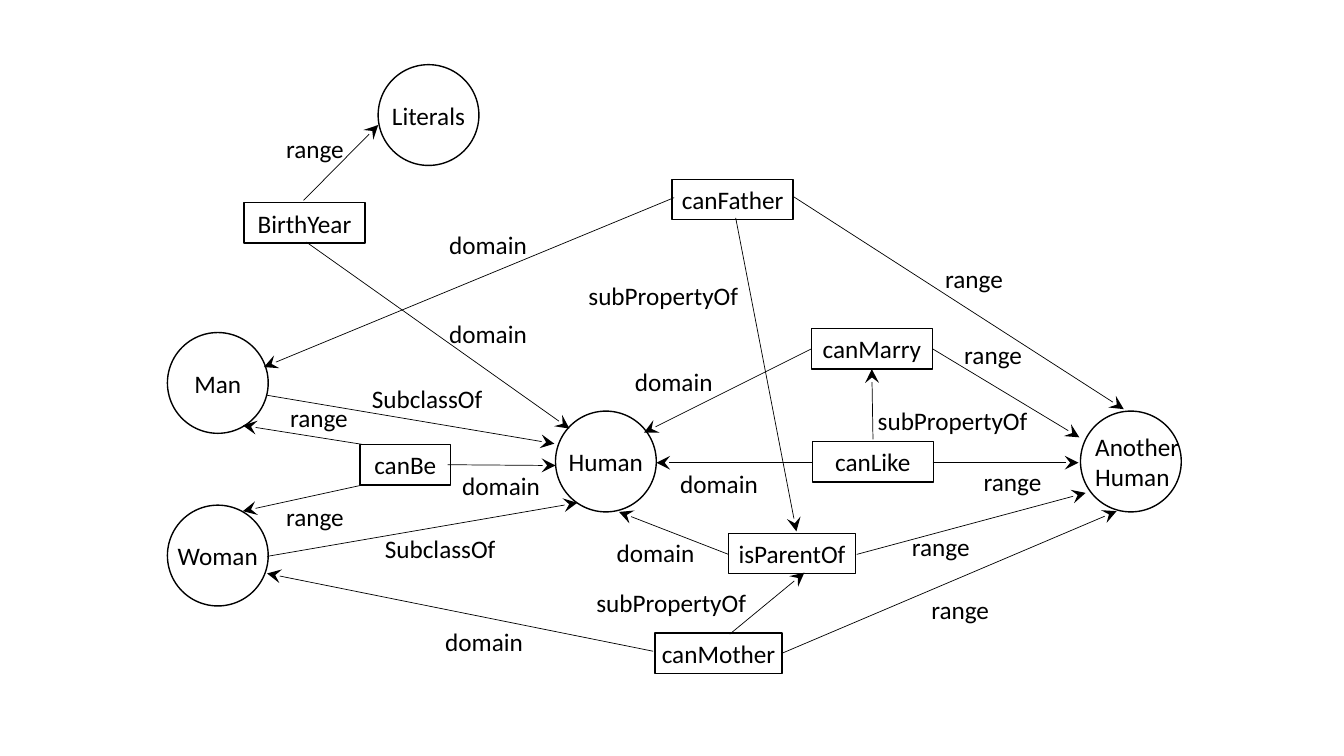
import pptx
import pptx.util
import pptx.dml.color
import pptx.enum.shapes
import pptx.enum.text
import pptx.oxml
import pptx.oxml.ns

Cm = pptx.util.Cm
Pt = pptx.util.Pt
SHAPE = pptx.enum.shapes.MSO_SHAPE
ALIGN = pptx.enum.text.PP_ALIGN

INK = "000000"
DIAMETER = 2.54
BOX_HEIGHT = 1.02

classes = [
    ("Literals", 9.53, 1.63),
    ("Man", 4.22, 8.38),
    ("Woman", 4.22, 12.73),
    ("Human", 14.0, 10.36),
    ("Another\nHuman", 27.23, 10.36),
]

properties = [
    ("BirthYear", 6.15, 5.11, 3.05),
    ("canFather", 16.94, 4.52, 3.05),
    ("canMarry", 20.45, 8.28, 3.05),
    ("canLike", 20.47, 11.13, 3.05),
    ("canBe", 9.07, 11.2, 2.29),
    ("isParentOf", 18.36, 13.44, 3.2),
    ("canMother", 16.51, 15.95, 3.2),
]

label_widths = {"domain": 2.49, "range": 1.98, "subPropertyOf": 4.32, "SubclassOf": 3.33}

relations = [
    ("range", (7.65, 5.05), (9.53, 3.15), (6.96, 3.23)),
    ("domain", (7.72, 6.1), (14.35, 10.8), (11.07, 7.9)),
    ("domain", (16.99, 4.98), (6.65, 9.25), (11.07, 5.66)),
    ("range", (19.99, 4.95), (28.32, 10.31), (23.57, 6.5)),
    ("subPropertyOf", (18.54, 5.49), (20.07, 13.39), (14.58, 6.93)),
    ("domain", (20.45, 8.79), (16.23, 10.9), (15.75, 9.09)),
    ("range", (23.5, 8.79), (27.2, 11.02), (24.05, 8.41)),
    ("subPropertyOf", (22.0, 11.07), (21.97, 9.3), (21.87, 10.08)),
    ("domain", (20.47, 11.66), (16.54, 11.66), (16.89, 11.66)),
    ("range", (23.5, 11.66), (27.18, 11.66), (24.54, 11.61)),
    ("domain", (11.28, 11.71), (14.0, 11.73), (11.4, 11.73)),
    ("range", (9.14, 11.2), (6.12, 10.72), (7.06, 10.01)),
    ("range", (9.14, 12.22), (6.12, 12.88), (6.96, 12.5)),
    ("SubclassOf", (6.73, 9.96), (13.97, 11.18), (9.12, 9.53)),
    ("SubclassOf", (6.73, 14.02), (14.55, 12.67), (9.45, 13.31)),
    ("domain", (18.36, 13.97), (15.6, 12.9), (15.29, 13.41)),
    ("range", (21.59, 13.97), (27.36, 12.42), (22.73, 13.26)),
    ("subPropertyOf", (18.39, 15.98), (20.27, 14.43), (14.78, 14.68)),
    ("domain", (16.46, 16.41), (6.73, 14.45), (10.97, 15.65)),
    ("range", (19.71, 16.46), (28.14, 12.88), (23.22, 14.86)),
]

deck = pptx.Presentation()
deck.slide_width = Cm(33.87)
deck.slide_height = Cm(19.05)
slide = deck.slides.add_slide(deck.slide_layouts[6])


def color(value):
    return pptx.dml.color.RGBColor.from_string(value)


def write(holder, text, size=18, font="Calibri", ink=INK, align=ALIGN.CENTER, inset=0):
    frame = holder.text_frame
    frame.word_wrap = False
    frame.vertical_anchor = pptx.enum.text.MSO_ANCHOR.MIDDLE
    frame.margin_left = frame.margin_right = Cm(inset)
    frame.margin_top = frame.margin_bottom = 0
    frame.text = text
    for paragraph in frame.paragraphs:
        paragraph.alignment = align
        paragraph.font.size = Pt(size)
        paragraph.font.name = font
        paragraph.font.color.rgb = color(ink)


def add_node(outline, text, left, top, width, height, align=ALIGN.CENTER):
    node = slide.shapes.add_shape(outline, Cm(left), Cm(top), Cm(width), Cm(height))
    node.shadow.inherit = False
    node.fill.background()
    node.line.color.rgb = color(INK)
    node.line.width = Pt(1)
    write(node, text, align=align)


def add_arrow(start, end):
    arrow = slide.shapes.add_connector(
        pptx.enum.shapes.MSO_CONNECTOR.STRAIGHT, *[Cm(value) for value in start + end])
    arrow.line.color.rgb = color(INK)
    arrow.line.width = Pt(0.5)
    head = pptx.oxml.parse_xml(
        '<a:tailEnd %s type="stealth" w="lg" len="lg"/>' % pptx.oxml.ns.nsdecls("a"))
    arrow.line._get_or_add_ln().append(head)
    arrow._element.spPr.append(
        pptx.oxml.parse_xml("<a:effectLst %s/>" % pptx.oxml.ns.nsdecls("a")))


for name, left, top in classes:
    align = ALIGN.LEFT if "\n" in name else ALIGN.CENTER
    add_node(SHAPE.OVAL, name, left, top, DIAMETER, DIAMETER, align)

for name, left, top, width in properties:
    add_node(SHAPE.RECTANGLE, name, left, top, width, BOX_HEIGHT)

for relation, start, end, (left, top) in relations:
    add_arrow(start, end)
    label = slide.shapes.add_textbox(
        Cm(left), Cm(top), Cm(label_widths[relation]), Cm(BOX_HEIGHT))
    write(label, relation, align=ALIGN.LEFT, inset=0.25)

deck.save("out.pptx")
